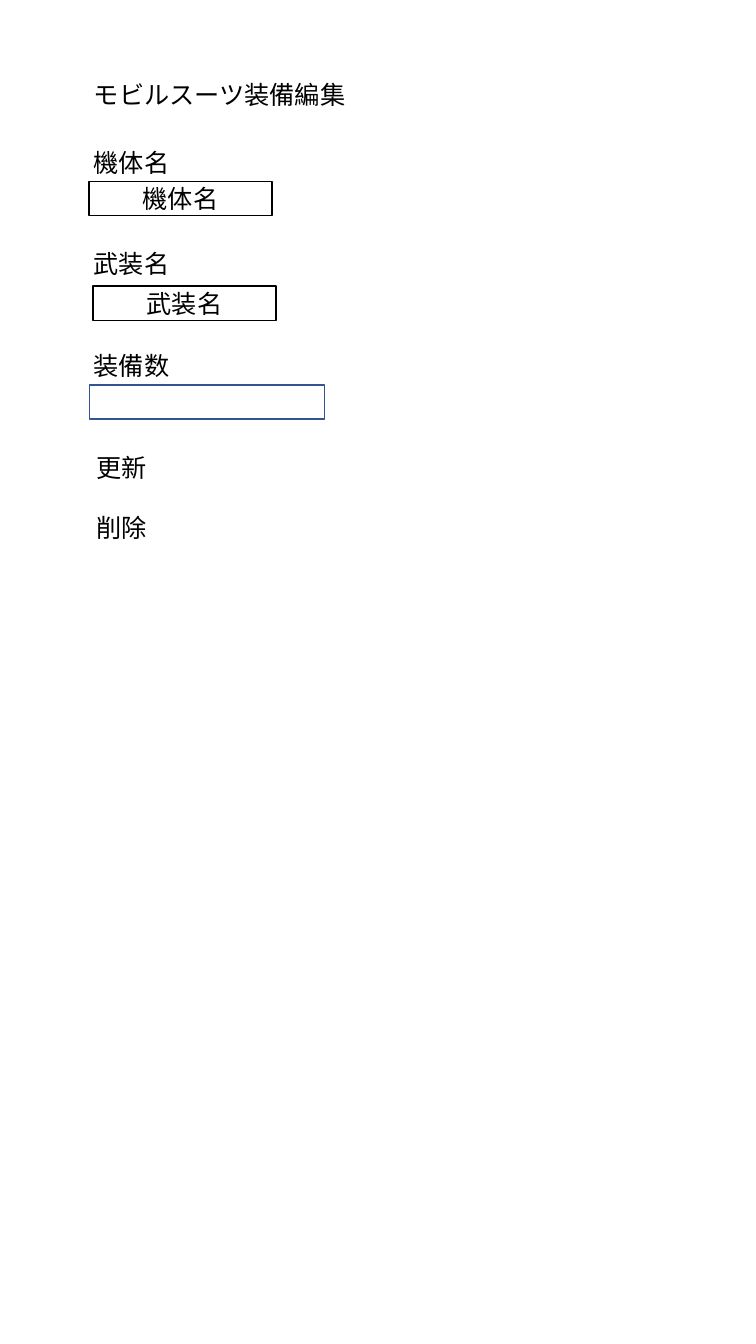
"""Build the equipment editing form slide."""
from pptx import Presentation
from pptx.dml.color import RGBColor
from pptx.enum.shapes import MSO_SHAPE as Preset
from pptx.enum.text import MSO_ANCHOR as Anchor, MSO_AUTO_SIZE as AutoSize, PP_ALIGN as Align
from pptx.util import Cm, Pt

COLORS = {"text": "000000", "fill": "FFFFFF", "border": "000000", "input": "325491"}
FONT = "Calibri"
LABEL_LEFT, LABEL_WIDTH, LABEL_HEIGHT = 2.11, 4.17, 1.02
FIELD_HEIGHT = 0.86
FIRST_LABEL_TOP, ROW_PITCH = 3.58, 2.56
BUTTON_LEFT, FIRST_BUTTON_TOP, BUTTON_PITCH = 2.18, 11.28, 1.5
FIELDS = [
    ("機体名", "機体名", 2.24, 4.57, 4.62, "border"),
    ("武装名", "武装名", 2.34, 7.21, 4.62, "border"),
    ("装備数", "", 2.26, 9.7, 5.92, "input"),
]
BUTTONS = ["更新", "削除"]


def color(name):
    return RGBColor.from_string(COLORS[name])


def write(shape, text, align=Align.LEFT, anchor=Anchor.TOP):
    frame = shape.text_frame
    frame.word_wrap = True
    frame.auto_size = AutoSize.NONE
    frame.vertical_anchor = anchor
    para = frame.paragraphs[0]
    para.alignment = align
    span = para.add_run()
    span.text = text
    span.font.name = FONT
    span.font.size = Pt(18)
    span.font.color.rgb = color("text")


def place_title(page, text):
    title = page.shapes.title
    title.left, title.top = Cm(LABEL_LEFT), Cm(1.88)
    title.width, title.height = Cm(7.42), Cm(LABEL_HEIGHT)
    write(title, text)


def add_label(page, text, left, top):
    box = page.shapes.add_textbox(Cm(left), Cm(top), Cm(LABEL_WIDTH), Cm(LABEL_HEIGHT))
    write(box, text)


def add_field(page, text, left, top, width, border):
    field = page.shapes.add_shape(
        Preset.RECTANGLE, Cm(left), Cm(top), Cm(width), Cm(FIELD_HEIGHT))
    field.shadow.inherit = False
    field.fill.solid()
    field.fill.fore_color.rgb = color("fill")
    field.line.color.rgb = color(border)
    field.line.width = Pt(1)
    if text:
        write(field, text, Align.CENTER, Anchor.MIDDLE)


def main():
    deck = Presentation()
    deck.slide_width, deck.slide_height = Cm(19.05), Cm(33.86)
    page = deck.slides.add_slide(deck.slide_layouts[5])
    place_title(page, "モビルスーツ装備編集")
    for row, (label, value, left, top, width, border) in enumerate(FIELDS):
        add_label(page, label, LABEL_LEFT, FIRST_LABEL_TOP + row * ROW_PITCH)
        add_field(page, value, left, top, width, border)
    for row, label in enumerate(BUTTONS):
        add_label(page, label, BUTTON_LEFT, FIRST_BUTTON_TOP + row * BUTTON_PITCH)
    deck.save("out.pptx")


main()
